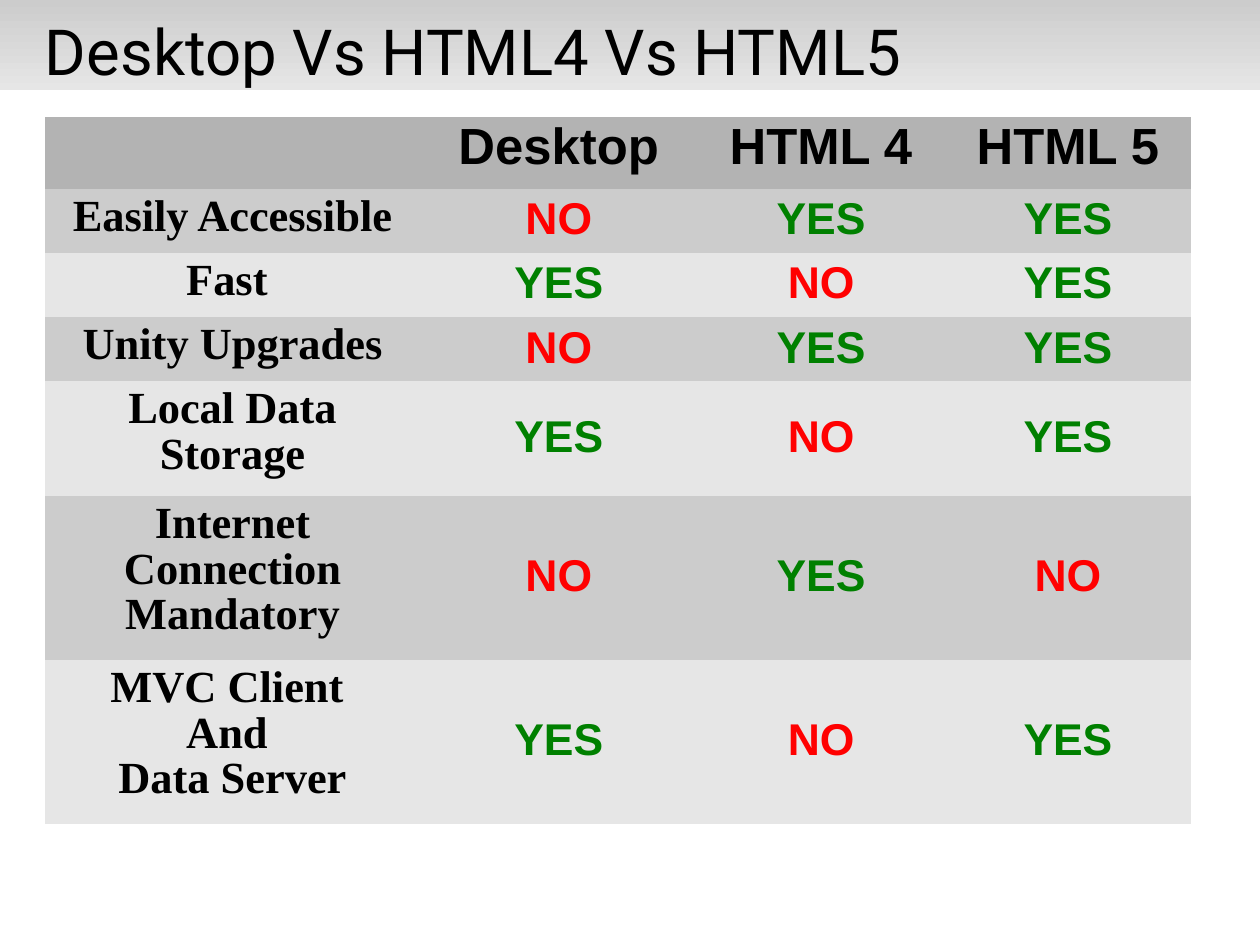
from dataclasses import dataclass

from pptx import Presentation
from pptx import util as u
from pptx.dml.color import RGBColor
from pptx.enum import shapes, text

# Content
TITLE = "Desktop Vs HTML4 Vs HTML5"
HEADS = ["", "Desktop", "HTML 4", "HTML 5"]
ROWS = [
    ("Easily Accessible", "NO", "YES", "YES"),
    ("Fast ", "YES", "NO", "YES"),
    ("Unity Upgrades", "NO", "YES", "YES"),
    ("Local Data Storage", "YES", "NO", "YES"),
    ("Internet Connection Mandatory", "NO", "YES", "NO"),
    ("MVC Client \nAnd \nData Server", "YES", "NO", "YES"),
]

# Page, then grid in inches
WIDE, HIGH = u.Cm(28), u.Cm(21)
EDGE, TOP, BAND = u.Cm(1), u.Inches(1.02), u.Inches(0.79)
COLS = [3.28, 2.43, 2.16, 2.16]
TALLS = [0.63, 0.56, 0.56, 0.56, 1, 1.43, 1.43]
GRID_HIGH = 6.19
PLAIN = "{2D5ABB26-0587-4C30-8999-92F81FD0307C}"


@dataclass(frozen=True)
class Theme:
    ink: str = "000000"
    yes: str = "008000"
    no: str = "FF0000"
    head: str = "B3B3B3"
    dark: str = "CCCCCC"
    pale: str = "E6E6E6"
    title: tuple = ("Roboto", 40, False)
    label: tuple = ("Arial", 32, True)
    name: tuple = ("Times New Roman", 28, True)
    mark: tuple = ("Arial", 28, True)


LOOK = Theme()


def write(frame, words, face, ink, align, lead):
    """Fill a frame with one paragraph per line of words."""
    for i, line in enumerate(words.split("\n")):
        para = frame.paragraphs[0] if i == 0 else frame.add_paragraph()
        para.alignment, para.line_spacing = align, lead
        para.space_before = para.space_after = u.Pt(0)
        run = para.add_run()
        run.text = line
        font = run.font
        font.name, size, font.bold = face
        font.size = u.Pt(size)
        font.color.rgb = RGBColor.from_string(ink)


def add_band(slide):
    """Shaded strip behind the title."""
    band = slide.shapes.add_shape(shapes.MSO_SHAPE.ROUNDED_RECTANGLE,
                                  0, 0, WIDE, BAND)
    band.adjustments[0] = 0
    band.shadow.inherit = False
    band.line.fill.background()
    band.fill.gradient()
    band.fill.gradient_angle = 270
    for stop, tone in zip(band.fill.gradient_stops, (LOOK.dark, LOOK.pale)):
        stop.color.rgb = RGBColor.from_string(tone)
    slide.shapes.title.element.addprevious(band.element)


def add_title(slide):
    title = slide.shapes.title
    title.left, title.top = EDGE, u.Inches(0.08)
    title.width, title.height = u.Inches(10.22), u.Inches(0.69)
    frame = title.text_frame
    frame.margin_left = frame.margin_right = 0
    frame.margin_top = frame.margin_bottom = 0
    frame.auto_size = text.MSO_AUTO_SIZE.NONE
    frame.vertical_anchor = text.MSO_ANCHOR.MIDDLE
    write(frame, TITLE, LOOK.title, LOOK.ink, text.PP_ALIGN.LEFT, 1.04)


def style(row, col, words):
    """Return the face and ink of a cell."""
    if row == 0:
        return LOOK.label, LOOK.ink
    if col == 0:
        return LOOK.name, LOOK.ink
    return LOOK.mark, LOOK.yes if words == "YES" else LOOK.no


def add_grid(slide):
    frame = slide.shapes.add_table(
        len(TALLS), len(COLS), EDGE, TOP,
        u.Inches(sum(COLS)), u.Inches(GRID_HIGH))
    grid = frame.table
    grid.first_row = grid.horz_banding = False
    for tag in frame.element.xpath(".//a:tableStyleId"):
        tag.text = PLAIN
    for col, size in zip(grid.columns, COLS):
        col.width = u.Inches(size)
    scale = GRID_HIGH / sum(TALLS)
    for r, line in enumerate([HEADS] + ROWS):
        grid.rows[r].height = u.Inches(TALLS[r] * scale)
        tone = LOOK.head if r == 0 else (LOOK.pale, LOOK.dark)[r % 2]
        for c, words in enumerate(line):
            cell = grid.cell(r, c)
            cell.fill.solid()
            cell.fill.fore_color.rgb = RGBColor.from_string(tone)
            if r and c:
                cell.vertical_anchor = text.MSO_ANCHOR.MIDDLE
            if words:
                write(cell.text_frame, words, *style(r, c, words),
                      text.PP_ALIGN.CENTER, 0.93)


def main():
    deck = Presentation()
    deck.slide_width, deck.slide_height = WIDE, HIGH
    slide = deck.slides.add_slide(deck.slide_layouts[5])
    add_band(slide)
    add_title(slide)
    add_grid(slide)
    deck.save("out.pptx")


if __name__ == "__main__":
    main()
